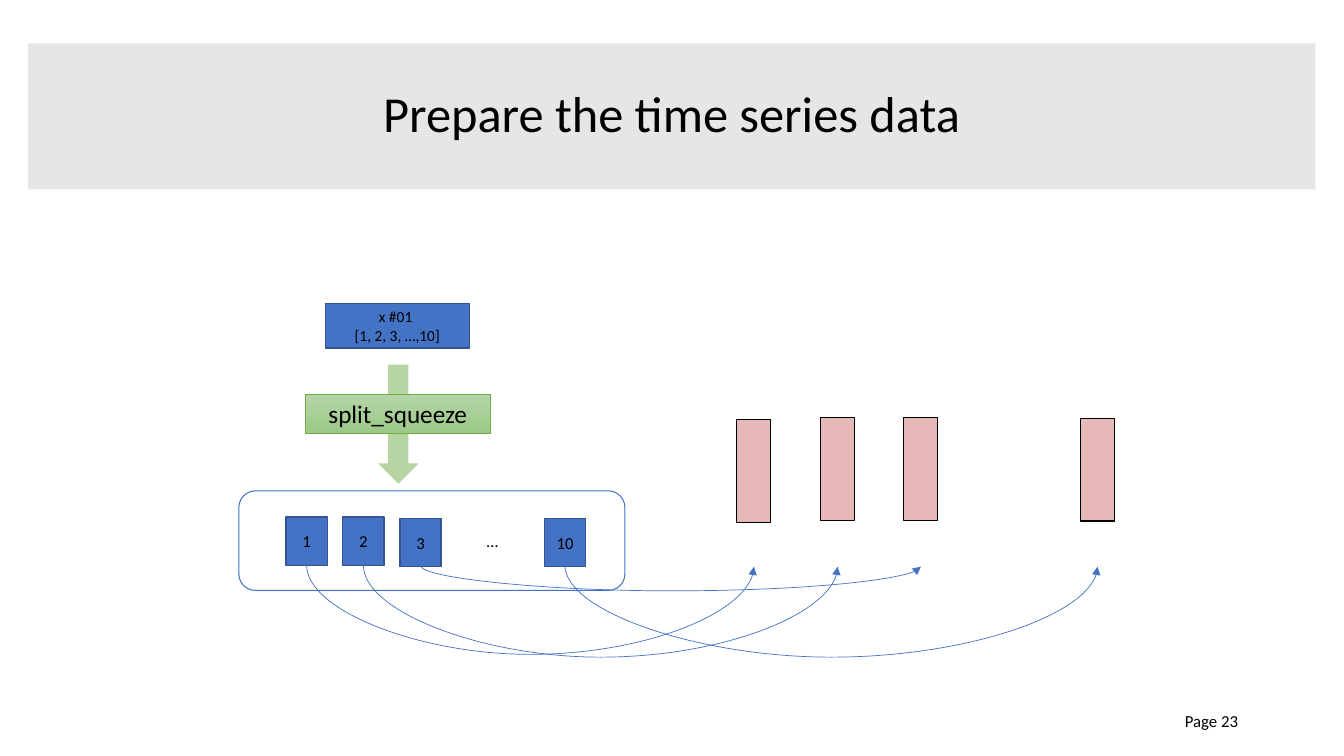
from lxml import etree
from pptx import Presentation
from pptx import util as u
from pptx.dml.color import RGBColor
from pptx.enum import shapes, text
from pptx.oxml.ns import qn

BLACK = RGBColor(0x00, 0x00, 0x00)
BLUE = RGBColor(0x44, 0x72, 0xC4)
DARK_BLUE = RGBColor(0x32, 0x54, 0x91)
GREEN = RGBColor(0x70, 0xAD, 0x47)
LIGHT_GREEN = RGBColor(0xB5, 0xD5, 0xA7)
MID_GREEN = RGBColor(0x9C, 0xC9, 0x87)
PINK = RGBColor(0xE6, 0xB9, 0xB8)
GREY = RGBColor(0xE7, 0xE6, 0xE6)

FONT = "Calibri"
CELL_WIDTH, CELL_HEIGHT = 1.04, 1.22
BAR_WIDTH, BAR_HEIGHT = 0.86, 2.59
CURVE_START, CURVE_DROP = 14.25, 0.03

# label, cell left, cell top, bar left, bar top, curve depth
STEPS = [
    ("1", 7.21, 13.03, 18.57, 10.57, 2.24),
    ("2", 8.64, 13.03, 20.68, 10.52, 2.31),
    ("3", 10.08, 13.06, 22.78, 10.52, 0.64),
    ("10", 13.72, 13.06, 27.23, 10.54, 2.31),
]


def lengths(*values):
    return [u.Cm(value) for value in values]


def write(box, lines, size=12, align=text.PP_ALIGN.CENTER, spacing=None):
    frame = box.text_frame
    frame.word_wrap = True
    frame.auto_size = text.MSO_AUTO_SIZE.NONE
    frame.vertical_anchor = text.MSO_ANCHOR.MIDDLE
    for index, line in enumerate(lines):
        para = frame.add_paragraph() if index else frame.paragraphs[0]
        para.alignment = align
        para.line_spacing = spacing
        span = para.add_run()
        span.text = line
        span.font.name = FONT
        span.font.size = u.Pt(size)
        span.font.color.rgb = BLACK


def add_block(page, kind, place, fill=None, line=None, weight=1):
    box = page.shapes.add_shape(kind, *lengths(*place))
    box.shadow.inherit = False
    if fill is None:
        box.fill.background()
    else:
        box.fill.solid()
        box.fill.fore_color.rgb = fill
    if line is None:
        box.line.fill.background()
    else:
        box.line.color.rgb = line
        box.line.width = u.Pt(weight)
    return box


def add_label(page, place, line, **style):
    write(page.shapes.add_textbox(*lengths(*place)), [line], **style)


def add_title(page, line):
    title = page.shapes.title
    title.left, title.top, title.width, title.height = lengths(0.71, 1.09, 32.44, 3.68)
    title.fill.solid()
    title.fill.fore_color.rgb = GREY
    write(title, [line], size=36, spacing=0.9)


def set_alpha(box, percent):
    color = box.fill._xPr.find(qn("a:solidFill"))[0]
    etree.SubElement(color, qn("a:alpha"), val=str(percent * 1000))


def add_split_step(page):
    arrow = add_block(page, shapes.MSO_SHAPE.DOWN_ARROW, (9.53, 9.19, 1.02, 3), GREEN)
    set_alpha(arrow, 50)
    box = add_block(page, shapes.MSO_SHAPE.RECTANGLE, (7.7, 9.93, 4.65, 0.99),
                    GREEN, GREEN, 0.5)
    box.fill.gradient()
    box.fill.gradient_angle = 270
    for stop, color in zip(box.fill.gradient_stops, (LIGHT_GREEN, MID_GREEN)):
        stop.color.rgb = color
    write(box, ["split_squeeze"], size=18)


def add_curve(page, start, end, depth):
    middle = (start + end) / 2
    level = CURVE_START + CURVE_DROP / 2
    half_drop, half_span = CURVE_DROP / 2, (end - start) / 2
    curve = page.shapes.add_connector(
        shapes.MSO_CONNECTOR.CURVE,
        *lengths(middle + half_drop, level - half_span,
                 middle - half_drop, level + half_span))
    curve.line.color.rgb = BLUE
    curve.line.width = u.Pt(0.5)
    properties = curve._element.spPr
    properties.find(qn("a:xfrm")).set("rot", str(270 * 60000))
    guides = properties.find(qn("a:prstGeom")).find(qn("a:avLst"))
    bend = round(depth / CURVE_DROP * 100000)
    etree.SubElement(guides, qn("a:gd"), name="adj1", fmla=f"val {bend}")
    etree.SubElement(properties.find(qn("a:ln")), qn("a:tailEnd"), type="triangle")
    etree.SubElement(properties, qn("a:effectLst"))


def add_steps(page):
    rectangle = shapes.MSO_SHAPE.RECTANGLE
    for label, left, top, bar_left, bar_top, depth in STEPS:
        cell = add_block(page, rectangle, (left, top, CELL_WIDTH, CELL_HEIGHT),
                         BLUE, DARK_BLUE)
        write(cell, [label])
        add_block(page, rectangle, (bar_left, bar_top, BAR_WIDTH, BAR_HEIGHT),
                  PINK, BLACK, 0.75)
        add_curve(page, left + CELL_WIDTH / 2, bar_left + BAR_WIDTH / 2, depth)
    add_label(page, (11.89, 13.03, CELL_WIDTH, CELL_HEIGHT), "…")


def main():
    deck = Presentation()
    deck.slide_width, deck.slide_height = lengths(33.87, 19.05)
    page = deck.slides.add_slide(deck.slide_layouts[5])
    add_title(page, "Prepare the time series data")
    add_label(page, (23.93, 17.65, 7.62, 1.02), "Page 23 ", align=text.PP_ALIGN.RIGHT)
    add_split_step(page)
    add_steps(page)
    add_block(page, shapes.MSO_SHAPE.ROUNDED_RECTANGLE, (6.02, 12.37, 9.73, 2.51),
              line=BLUE, weight=0.75)
    sample = add_block(page, shapes.MSO_SHAPE.RECTANGLE, (8.2, 7.65, 3.63, 1.12),
                       BLUE, DARK_BLUE)
    write(sample, ["x #01 ", "[1, 2, 3, …,10]"], size=11)
    deck.save("out.pptx")


if __name__ == "__main__":
    main()
